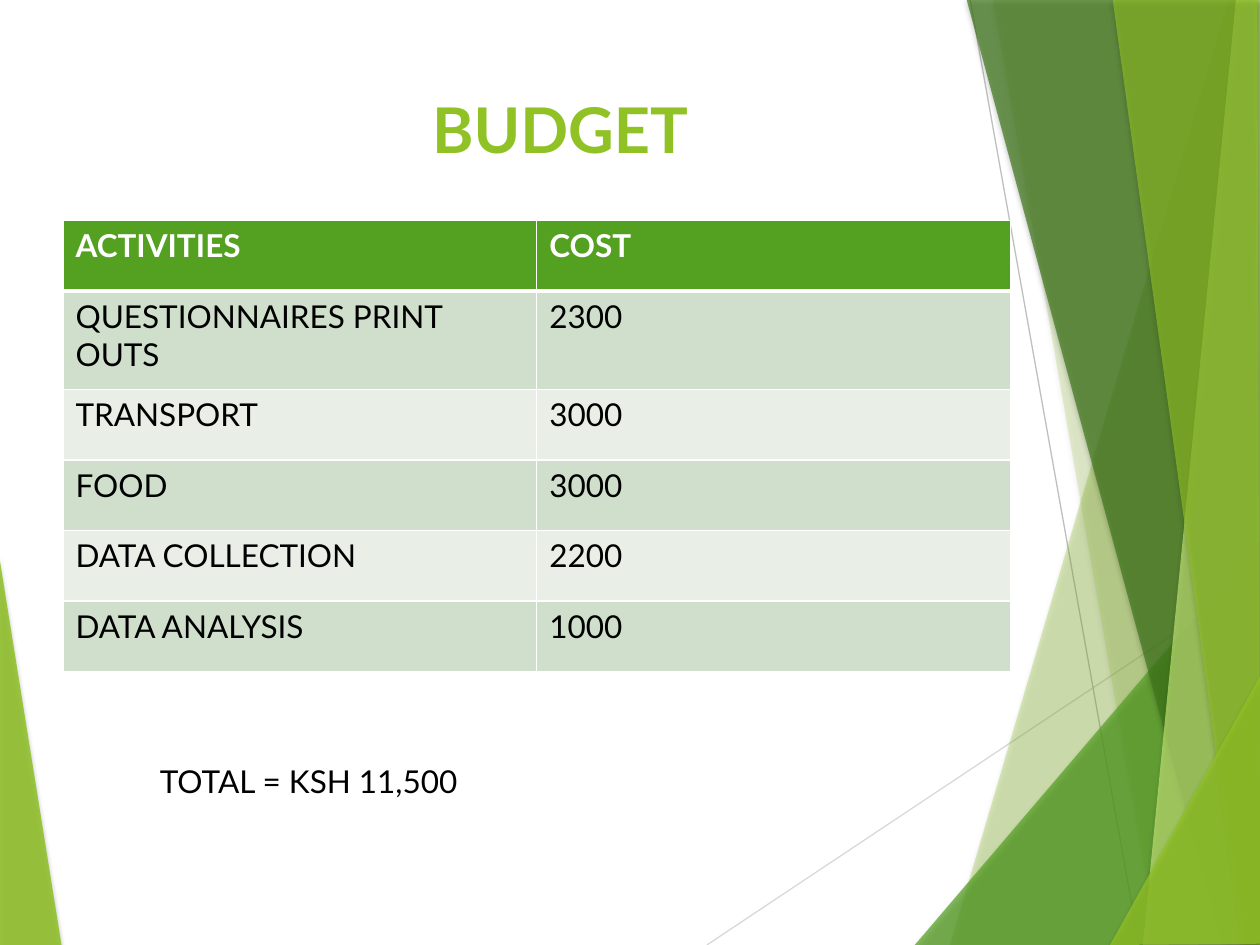
from dataclasses import dataclass

from lxml.etree import SubElement
from pptx import Presentation
from pptx.dml.color import RGBColor
from pptx.enum.shapes import MSO_CONNECTOR
from pptx.enum.text import MSO_ANCHOR, MSO_AUTO_SIZE, PP_ALIGN
from pptx.oxml.ns import qn
from pptx.util import Pt

PX = 9144  # EMU per px, 100 px to the inch
FONT = "Lato"
COLORS = {
    "lime": "90C226", "green": "54A021", "forest": "3F7819", "pale": "C0E474",
    "line_light": "D9D9D9", "line_mid": "BFBFBF",
    "band_dark": "D0DFCC", "band_light": "E9EFE7",
    "white": "FFFFFF", "black": "000000",
}


@dataclass
class Facet:
    points: list[tuple[int, int]]
    color: str
    opacity: int


@dataclass
class Ray:
    start: tuple[int, int]
    end: tuple[int, int]
    color: str


LEFT_FACET = Facet([(-1, 439), (49, 751), (-1, 750)], "lime", 85)
RAYS = [
    Ray((561, 750), (1001, 457), "line_light"),
    Ray((770, 0), (904, 750), "line_mid"),
]
RIGHT_FACETS = [
    Facet([(975, 0), (754, 750), (1002, 751), (1001, 1)], "lime", 30),
    Facet([(788, -1), (919, 750), (1001, 750), (1001, -1)], "lime", 20),
    Facet([(726, 750), (1000, 429), (1001, 750)], "green", 72),
    Facet([(767, -1), (970, 750), (1001, 749), (1001, -1)], "forest", 70),
    Facet([(981, -1), (907, 750), (1001, 750), (1000, -1)], "pale", 70),
    Facet([(883, -1), (986, 750), (1000, 750), (998, -1)], "lime", 65),
    Facet([(881, 750), (1001, 535), (1001, 749)], "lime", 80),
]

BUDGET = [
    ("ACTIVITIES", "COST"),
    ("QUESTIONNAIRES PRINT OUTS", "2300"),
    ("TRANSPORT", "3000"),
    ("FOOD", "3000"),
    ("DATA COLLECTION", "2200"),
    ("DATA ANALYSIS", "1000"),
]


def rgb(name: str) -> RGBColor:
    return RGBColor.from_string(COLORS[name])


def place(shape, left: int, top: int, width: int, height: int) -> None:
    shape.left, shape.top = left * PX, top * PX
    shape.width, shape.height = width * PX, height * PX


def add_text(frame, text: str, size: int, color: str, bold: bool = False) -> None:
    paragraph = frame.paragraphs[0]
    paragraph.alignment = PP_ALIGN.LEFT
    run = paragraph.add_run()
    run.text = text
    run.font.name, run.font.size, run.font.bold = FONT, Pt(size), bold
    run.font.color.rgb = rgb(color)


def draw_facet(slide, facet: Facet) -> None:
    builder = slide.shapes.build_freeform(*facet.points[0], scale=PX)
    builder.add_line_segments(facet.points[1:], close=True)
    shape = builder.convert_to_shape()
    shape.fill.solid()
    shape.fill.fore_color.rgb = rgb(facet.color)
    shape.line.fill.background()
    shape.shadow.inherit = False
    properties = shape._element.spPr
    fill_color = properties.find(qn("a:solidFill")).find(qn("a:srgbClr"))
    SubElement(fill_color, qn("a:alpha"), val=str(facet.opacity * 1000))
    # Soft shadow straight below
    shadow = SubElement(properties.find(qn("a:effectLst")), qn("a:outerShdw"),
                        blurRad=str(Pt(3)), dist=str(Pt(2)), dir="5400000", rotWithShape="0")
    shadow_color = SubElement(shadow, qn("a:srgbClr"), val=COLORS["black"])
    SubElement(shadow_color, qn("a:alpha"), val="35000")


def draw_ray(slide, ray: Ray) -> None:
    ends = [value * PX for value in ray.start + ray.end]
    connector = slide.shapes.add_connector(MSO_CONNECTOR.STRAIGHT, *ends)
    connector.line.color.rgb = rgb(ray.color)
    connector.line.width = Pt(0.75)
    SubElement(connector._element.spPr, qn("a:effectLst"))


def add_borders(cell, top: float, bottom: float) -> None:
    properties = cell._tc.get_or_add_tcPr()
    for side, width in (("L", 0.96), ("R", 0.96), ("T", top), ("B", bottom)):
        line = SubElement(properties, qn(f"a:ln{side}"), w=str(Pt(width)))
        fill = SubElement(line, qn("a:solidFill"))
        SubElement(fill, qn("a:srgbClr"), val=COLORS["white"])


def draw_table(slide, rows: list[tuple[str, str]]) -> None:
    frame = slide.shapes.add_table(len(rows), 2, 50 * PX, 175 * PX, 752 * PX, 358 * PX)
    table = frame.table
    for column in table.columns:
        column.width = 376 * PX
    for index, texts in enumerate(rows):
        header = index == 0
        table.rows[index].height = (78 if index == 1 else 56) * PX
        fill = "green" if header else ("band_light", "band_dark")[index % 2]
        for cell, text in zip(table.rows[index].cells, texts):
            add_borders(cell, 3 if index == 1 else 0.96, 3 if header else 0.96)
            cell.fill.solid()
            cell.fill.fore_color.rgb = rgb(fill)
            add_text(cell.text_frame, text, 18, "white" if header else "black", header)


def main() -> None:
    presentation = Presentation()
    presentation.slide_width, presentation.slide_height = 1000 * PX, 750 * PX
    slide = presentation.slides.add_slide(presentation.slide_layouts[5])

    # Background facets and rays
    draw_facet(slide, LEFT_FACET)
    for ray in RAYS:
        draw_ray(slide, ray)
    for facet in RIGHT_FACETS:
        draw_facet(slide, facet)

    # Title, brought in front of the facets
    title = slide.shapes.title
    slide.shapes._spTree.append(title._element)
    place(title, 333, 67, 427, 144)
    title.text_frame.vertical_anchor = MSO_ANCHOR.TOP
    title.text_frame.auto_size = MSO_AUTO_SIZE.NONE
    add_text(title.text_frame, "BUDGET", 36, "lime", True)

    # Budget table
    draw_table(slide, BUDGET)

    # Total
    total = slide.shapes.add_textbox(117 * PX, 600 * PX, 575 * PX, 40 * PX)
    total.text_frame.word_wrap = True
    total.text_frame.auto_size = MSO_AUTO_SIZE.SHAPE_TO_FIT_TEXT
    add_text(total.text_frame, "TOTAL = KSH 11,500", 18, "black")

    presentation.save("out.pptx")


if __name__ == "__main__":
    main()
